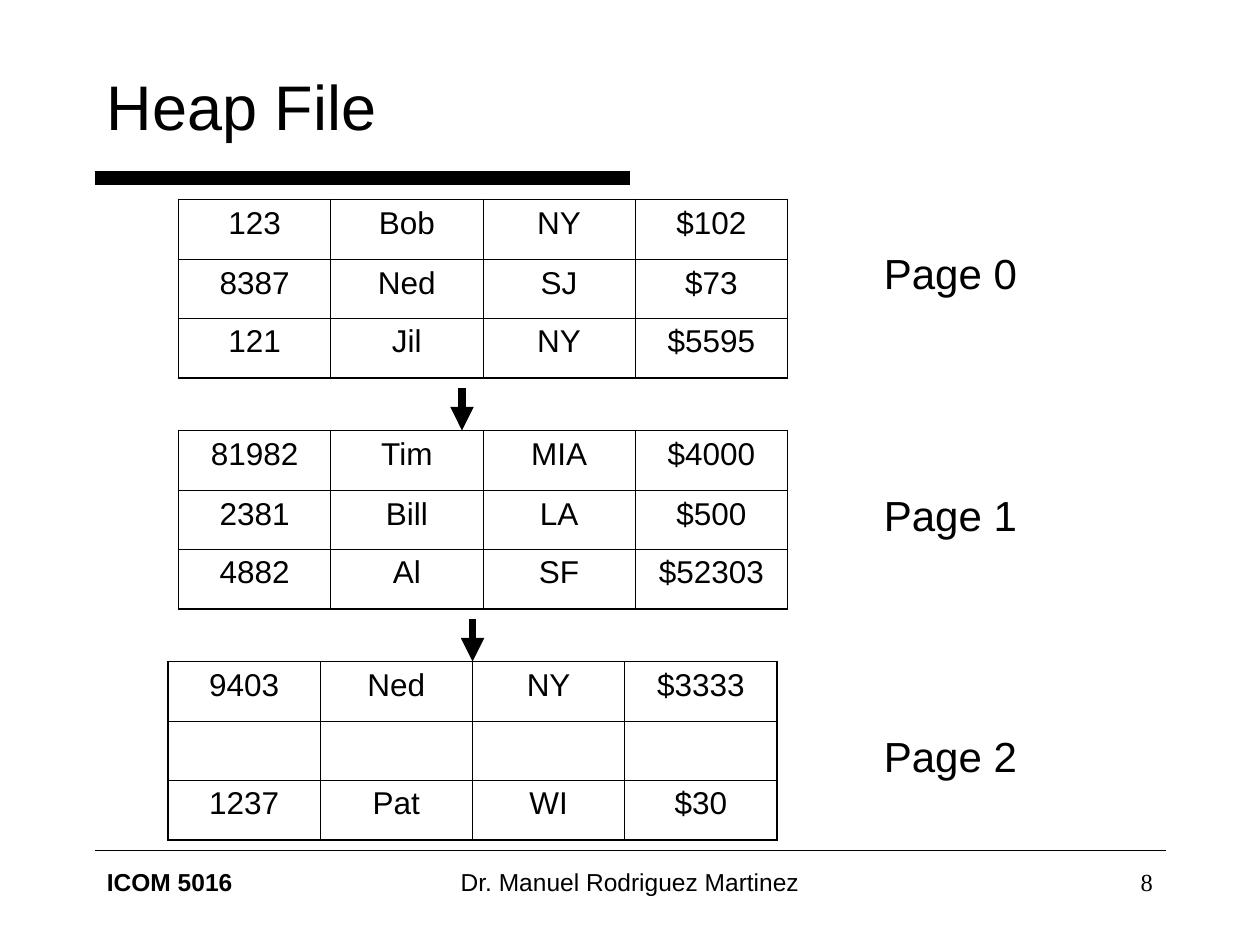
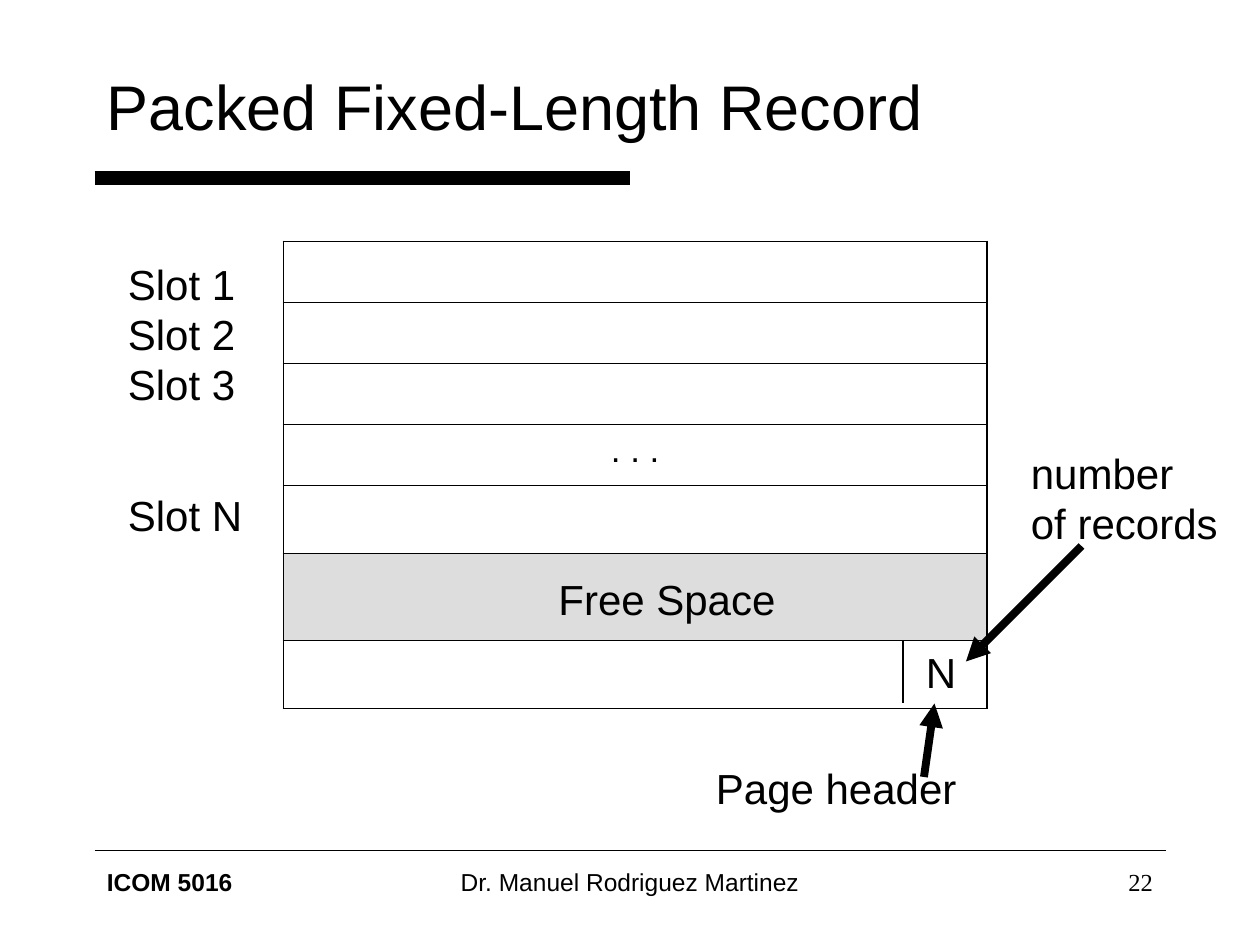
from dataclasses import dataclass

from lxml.etree import SubElement
from pptx import Presentation
from pptx.dml.color import RGBColor
from pptx.enum.shapes import MSO_CONNECTOR
from pptx.enum.text import MSO_ANCHOR, MSO_AUTO_SIZE, PP_ALIGN
from pptx.oxml.ns import qn
from pptx.presentation import Presentation as Deck
from pptx.slide import Slide
from pptx.table import _Cell as Cell
from pptx.text.text import _Paragraph as Paragraph
from pptx.util import Emu, Pt

PX_PER_INCH = 120
EMU_PER_PX = 914400 // PX_PER_INCH


def px(length: int) -> Emu:
    return Emu(length * EMU_PER_PX)


@dataclass(frozen=True)
class Theme:
    ink: str = "000000"
    free_space: str = "DDDDDD"
    sans: str = "Arial"
    serif: str = "Times New Roman"
    title_size: int = 36
    label_size: int = 24
    ellipsis_size: int = 20
    record_size: int = 18
    footer_size: int = 14
    title_bar: float = 8
    footer_rule: float = 1
    arrow: float = 4.5
    divider: float = 0.75
    outer_border: float = 1.08
    inner_border: float = 0.45


THEME = Theme()


@dataclass(frozen=True)
class Label:
    lines: tuple[str, ...]
    left: int
    top: int
    width: int
    height: int = 60
    size: int = THEME.label_size
    font: str = THEME.sans
    bold: bool = False
    align: PP_ALIGN = PP_ALIGN.LEFT
    anchor: MSO_ANCHOR = MSO_ANCHOR.TOP
    wrap: bool = False


@dataclass(frozen=True)
class Line:
    start: tuple[int, int]
    end: tuple[int, int]
    weight: float = THEME.arrow
    arrow: bool = False


@dataclass(frozen=True)
class Grid:
    left: int
    top: int
    columns: tuple[int, ...]
    heights: tuple[int, ...]
    records: tuple[tuple[str, ...], ...]
    size: int = THEME.record_size
    shaded_row: int | None = None


def add_span(para: Paragraph, text: str, size: int, font: str, bold: bool = False) -> None:
    span = para.add_run()
    span.text = text
    span.font.size = Pt(size)
    span.font.name = font
    span.font.bold = bold
    span.font.color.rgb = RGBColor.from_string(THEME.ink)


def draw_label(page: Slide, label: Label) -> None:
    box = page.shapes.add_textbox(px(label.left), px(label.top), px(label.width), px(label.height))
    frame = box.text_frame
    frame.word_wrap = label.wrap
    frame.auto_size = MSO_AUTO_SIZE.NONE if label.wrap else MSO_AUTO_SIZE.SHAPE_TO_FIT_TEXT
    frame.vertical_anchor = label.anchor
    for index, text in enumerate(label.lines):
        para = frame.add_paragraph() if index else frame.paragraphs[0]
        para.alignment = label.align
        add_span(para, text, label.size, label.font, label.bold)


def draw_line(page: Slide, line: Line) -> None:
    connector = page.shapes.add_connector(
        MSO_CONNECTOR.STRAIGHT, *(px(value) for value in line.start + line.end)
    )
    connector.line.width = Pt(line.weight)
    connector.line.color.rgb = RGBColor.from_string(THEME.ink)
    properties = connector.element.spPr
    if line.arrow:
        SubElement(properties.find(qn("a:ln")), qn("a:tailEnd"), type="triangle")
    SubElement(properties, qn("a:effectLst"))


def draw_borders(cell: Cell, outer_sides: dict[str, bool]) -> None:
    properties = cell._tc.get_or_add_tcPr()
    for side, is_outer in outer_sides.items():
        weight = THEME.outer_border if is_outer else THEME.inner_border
        border = SubElement(properties, qn(f"a:ln{side}"), w=str(Pt(weight)))
        fill = SubElement(border, qn("a:solidFill"))
        SubElement(fill, qn("a:srgbClr"), val=THEME.ink)


def draw_grid(page: Slide, grid: Grid) -> None:
    last_row, last_column = len(grid.heights) - 1, len(grid.columns) - 1
    table = page.shapes.add_table(
        last_row + 1, last_column + 1, px(grid.left), px(grid.top),
        px(sum(grid.columns)), px(sum(grid.heights)),
    ).table
    table.first_row = table.horz_banding = False
    for column, width in zip(table.columns, grid.columns):
        column.width = px(width)
    for row_index, (row, record) in enumerate(zip(table.rows, grid.records)):
        row.height = px(grid.heights[row_index])
        for column_index, text in enumerate(record):
            cell = table.cell(row_index, column_index)
            draw_borders(cell, {
                "L": column_index == 0,
                "R": column_index == last_column,
                "T": row_index == 0,
                "B": row_index == last_row,
            })
            if row_index == grid.shaded_row:
                cell.fill.solid()
                cell.fill.fore_color.rgb = RGBColor.from_string(THEME.free_space)
            else:
                cell.fill.background()
            if text:
                para = cell.text_frame.paragraphs[0]
                para.alignment = PP_ALIGN.CENTER
                para.space_before = Pt(grid.size / 4)
                add_span(para, text, grid.size, THEME.sans)


def add_page(deck: Deck, title: str, number: int) -> Slide:
    page = deck.slides.add_slide(deck.slide_layouts[6])
    draw_line(page, Line((90, 170), (600, 170), THEME.title_bar))
    draw_line(page, Line((90, 810), (1110, 810), THEME.footer_rule))
    size = THEME.footer_size
    for label in (
        Label((title,), 90, 40, 1020, 120, THEME.title_size, anchor=MSO_ANCHOR.MIDDLE, wrap=True),
        Label(("ICOM 5016",), 90, 820, 250, size=size, bold=True, wrap=True),
        Label(("Dr. Manuel Rodriguez Martinez",), 410, 820, 380, size=size,
              align=PP_ALIGN.CENTER, wrap=True),
        Label((str(number),), 860, 820, 250, size=size, font=THEME.serif,
              align=PP_ALIGN.RIGHT, wrap=True),
    ):
        draw_label(page, label)
    return page


def build_heap_file(deck: Deck) -> None:
    page = add_page(deck, "Heap File", 8)
    heap_pages = (
        (170, (("123", "Bob", "NY", "$102"),
               ("8387", "Ned", "SJ", "$73"),
               ("121", "Jil", "NY", "$5595"))),
        (170, (("81982", "Tim", "MIA", "$4000"),
               ("2381", "Bill", "LA", "$500"),
               ("4882", "Al", "SF", "$52303"))),
        (160, (("9403", "Ned", "NY", "$3333"),
               ("", "", "", ""),
               ("1237", "Pat", "WI", "$30"))),
    )
    for index, (left, records) in enumerate(heap_pages):
        draw_grid(page, Grid(left, 190 + 220 * index, (145,) * 4, (57, 56, 57), records))
        draw_label(page, Label((f"Page {index}",), 830, 230 + 230 * index, 156))
    for index, center in enumerate((440, 450)):
        top = 370 + 220 * index
        draw_line(page, Line((center, top), (center, top + 40), arrow=True))


def build_packed_record(deck: Deck) -> None:
    page = add_page(deck, "Packed Fixed-Length Record", 22)
    slots = ("", "", "", ". . .", "", "", "")
    draw_grid(page, Grid(
        270, 230, (670,), (58,) * 4 + (65, 83, 65), tuple((slot,) for slot in slots),
        size=THEME.ellipsis_size, shaded_row=5,
    ))
    for label in (
        Label(("Slot 1", "Slot 2", "Slot 3"), 110, 240, 132, 156),
        Label(("Slot N",), 110, 460, 138),
        Label(("Free Space",), 520, 540, 236),
        Label(("N",), 870, 610, 58),
        Label(("Page header",), 670, 720, 260),
        Label(("number", "of records"), 970, 420, 208, 108),
    ):
        draw_label(page, label)
    for line in (
        Line((860, 610), (860, 670), THEME.divider),
        Line((880, 740), (890, 670), arrow=True),
        Line((1030, 520), (920, 630), arrow=True),
    ):
        draw_line(page, line)


def main() -> None:
    deck = Presentation()
    deck.slide_width, deck.slide_height = px(1200), px(900)
    build_heap_file(deck)
    build_packed_record(deck)
    deck.save("out.pptx")


if __name__ == "__main__":
    main()
